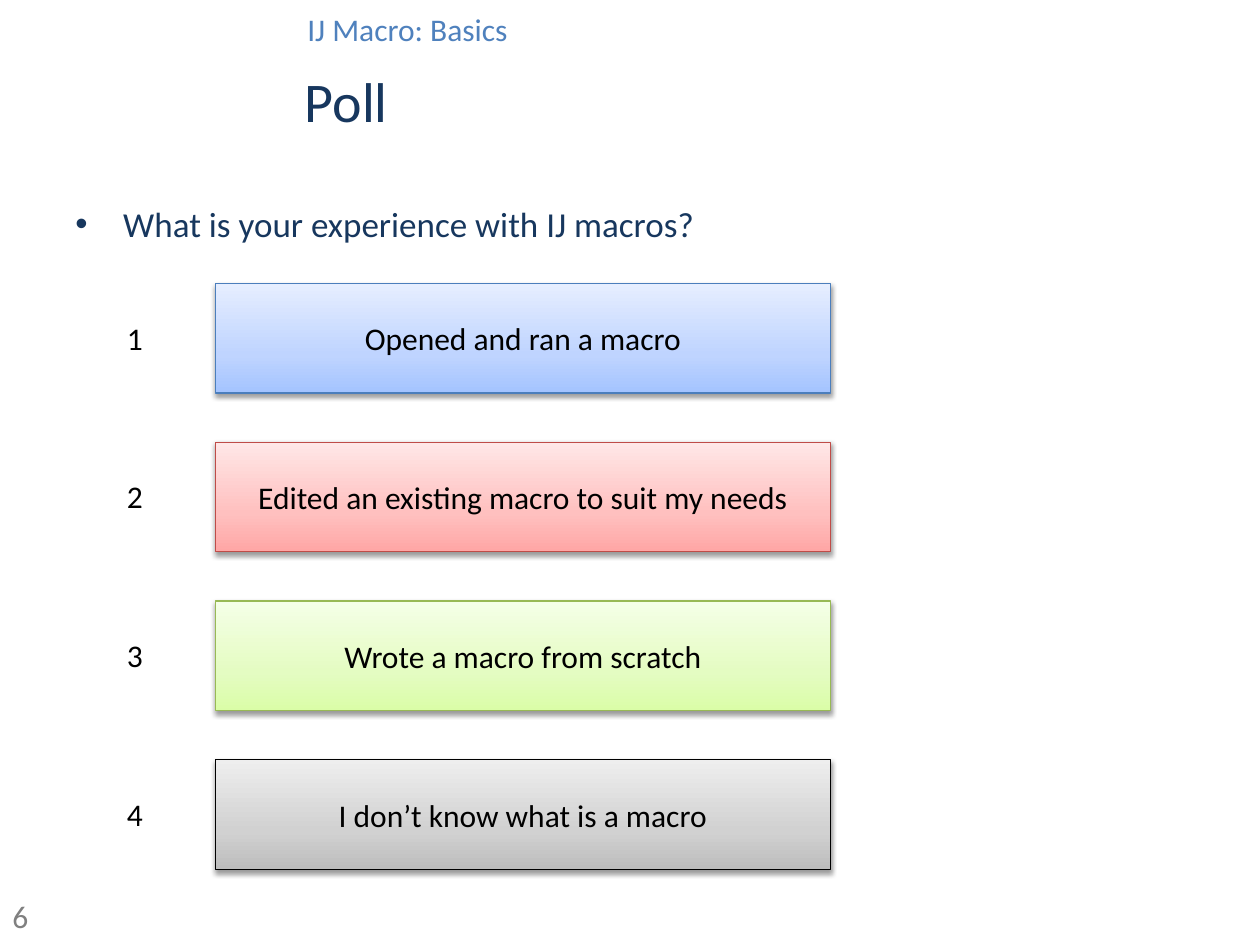
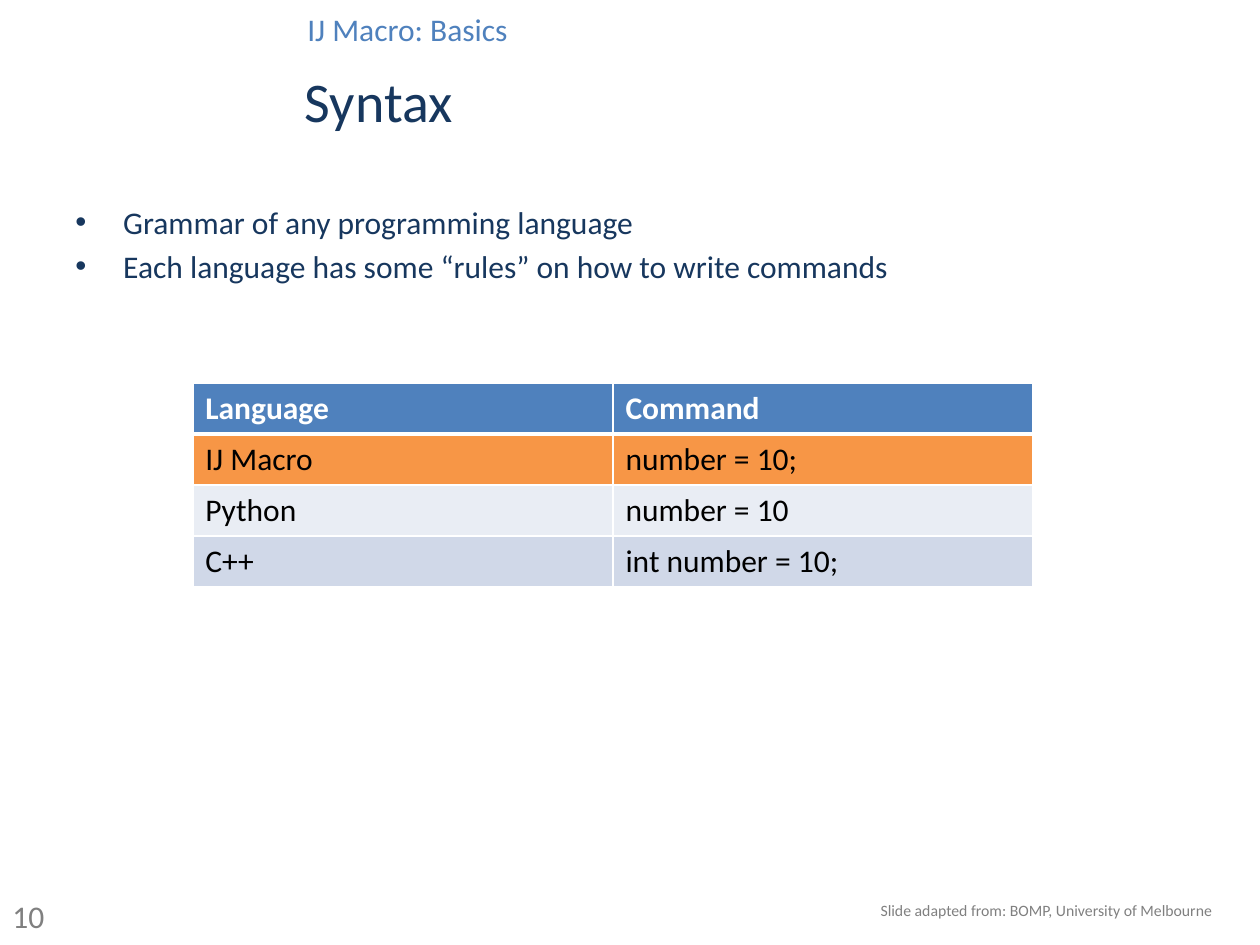
from dataclasses import dataclass

import pptx
import pptx.dml.color
import pptx.enum.shapes
import pptx.enum.text
import pptx.oxml
import pptx.oxml.ns
import pptx.slide
import pptx.table
import pptx.text.text
import pptx.util
from pptx.dml.color import RGBColor
from pptx.util import Inches

# Shared look
FONT = "Calibri"
NAVY = RGBColor(0x17, 0x37, 0x5E)
BLUE = RGBColor(0x4F, 0x81, 0xBD)
GREY = RGBColor(0x80, 0x80, 0x80)
BLACK = RGBColor(0x00, 0x00, 0x00)
WHITE = RGBColor(0xFF, 0xFF, 0xFF)
ORANGE = RGBColor(0xF7, 0x96, 0x46)
PALE_BLUE = RGBColor(0xE9, 0xED, 0xF4)
LIGHT_BLUE = RGBColor(0xD0, 0xD8, 0xE8)
BLUE_LINE = RGBColor(0x4B, 0x7E, 0xBC)
RED_LINE = RGBColor(0xBF, 0x4C, 0x48)
GREEN_LINE = RGBColor(0x98, 0xB9, 0x55)
BLUE_SHADES = (RGBColor(0xA4, 0xC4, 0xFF), RGBColor(0xBF, 0xD4, 0xFF), RGBColor(0xE6, 0xEE, 0xFF))
RED_SHADES = (RGBColor(0xFF, 0xA6, 0xA5), RGBColor(0xFF, 0xC0, 0xBF), RGBColor(0xFF, 0xE7, 0xE7))
GREEN_SHADES = (RGBColor(0xDA, 0xFD, 0xA7), RGBColor(0xE4, 0xFC, 0xC2), RGBColor(0xF5, 0xFF, 0xE7))
GREY_SHADES = (RGBColor(0xBD, 0xBD, 0xBD), RGBColor(0xD1, 0xD1, 0xD1), RGBColor(0xEE, 0xEE, 0xEE))
SHADE_STOPS = (0, 35, 100)  # percent, from the bottom edge up

SECTION = "IJ Macro: Basics"
NAMESPACE = pptx.oxml.ns.nsdecls("a")


@dataclass(frozen=True)
class Box:
    left: float
    top: float
    width: float
    height: float

    def lengths(self) -> tuple[pptx.util.Length, ...]:
        return tuple(Inches(value) for value in (self.left, self.top, self.width, self.height))


@dataclass(frozen=True)
class PollOption:
    text: str
    shades: tuple[RGBColor, RGBColor, RGBColor]
    line: RGBColor


@dataclass(frozen=True)
class SyntaxRow:
    language: str
    command: str
    fill: RGBColor


POLL_OPTIONS = (
    PollOption("Opened and ran a macro", BLUE_SHADES, BLUE_LINE),
    PollOption("Edited an existing macro to suit my needs", RED_SHADES, RED_LINE),
    PollOption("Wrote a macro from scratch", GREEN_SHADES, GREEN_LINE),
    PollOption("I don’t know what is a macro", GREY_SHADES, BLACK),
)
SYNTAX_ROWS = (
    SyntaxRow("Language", "Command", BLUE),
    SyntaxRow("IJ Macro", "number = 10;", ORANGE),
    SyntaxRow("Python", "number = 10", PALE_BLUE),
    SyntaxRow("C++", "int number = 10;", LIGHT_BLUE),
)


def style_paragraph(paragraph: pptx.text.text._Paragraph, size: float, color: RGBColor,
                    bold: bool = False) -> None:
    paragraph.font.name = FONT
    paragraph.font.size = pptx.util.Pt(size)
    paragraph.font.color.rgb = color
    paragraph.font.bold = bold


def add_text(slide: pptx.slide.Slide, box: Box, text: str, size: float, color: RGBColor,
             wrap: bool = True, middle: bool = False) -> pptx.text.text.TextFrame:
    frame = slide.shapes.add_textbox(*box.lengths()).text_frame
    frame.word_wrap = wrap
    if middle:
        frame.vertical_anchor = pptx.enum.text.MSO_ANCHOR.MIDDLE
    frame.text = text
    for paragraph in frame.paragraphs:
        style_paragraph(paragraph, size, color)
    return frame


def add_bullets(slide: pptx.slide.Slide, lines: list[str], size: float) -> None:
    frame = slide.shapes.add_textbox(*Box(0.5, 1.56, 9, 5.14).lengths()).text_frame
    frame.word_wrap = True
    frame.text = "\n".join(lines)
    for index, paragraph in enumerate(frame.paragraphs):
        properties = paragraph._p.get_or_add_pPr()
        properties.set("marL", str(Inches(0.38)))
        properties.set("indent", str(Inches(-0.38)))
        if index:
            paragraph.space_before = pptx.util.Pt(0.2 * size)
        properties.append(pptx.oxml.parse_xml(f'<a:buFont {NAMESPACE} typeface="Arial"/>'))
        properties.append(pptx.oxml.parse_xml(f'<a:buChar {NAMESPACE} char="•"/>'))
        style_paragraph(paragraph, size, NAVY)


def add_base_slide(presentation: pptx.presentation.Presentation, title: str,
                   number: int) -> pptx.slide.Slide:
    slide = presentation.slides.add_slide(presentation.slide_layouts[6])
    add_text(slide, Box(0, 7.07, 2.13, 0.4), str(number), 18, GREY)
    add_text(slide, Box(2.34, 0.03, 1.81, 0.4), SECTION, 18, BLUE, wrap=False)
    add_text(slide, Box(2.32, 0.44, 7.18, 0.71), title, 32, NAVY, middle=True)
    return slide


def add_option_bar(slide: pptx.slide.Slide, box: Box, option: PollOption) -> None:
    bar = slide.shapes.add_shape(pptx.enum.shapes.MSO_SHAPE.RECTANGLE, *box.lengths())
    bar.line.color.rgb = option.line
    bar.line.width = pptx.util.Pt(0.75)

    # Three-stop gradient, lightest at the top
    bar.fill.gradient()
    bar.fill.gradient_angle = 90
    stops = bar._element.spPr.find(".//" + pptx.oxml.ns.qn("a:gsLst"))
    for stop in list(stops):
        stops.remove(stop)
    for position, color in zip(SHADE_STOPS, option.shades):
        stops.append(pptx.oxml.parse_xml(
            f'<a:gs {NAMESPACE} pos="{position * 1000}"><a:srgbClr val="{color}"/></a:gs>'))

    # Soft shadow straight below
    bar.shadow.inherit = False
    effects = bar._element.spPr.find(pptx.oxml.ns.qn("a:effectLst"))
    effects.append(pptx.oxml.parse_xml(
        f'<a:outerShdw {NAMESPACE} blurRad="{pptx.util.Pt(3.1)}" dist="{pptx.util.Pt(1.6)}" '
        'dir="5400000" rotWithShape="0"><a:srgbClr val="000000"><a:alpha val="38000"/>'
        '</a:srgbClr></a:outerShdw>'))

    frame = bar.text_frame
    frame.word_wrap = True
    frame.vertical_anchor = pptx.enum.text.MSO_ANCHOR.MIDDLE
    frame.text = option.text
    frame.paragraphs[0].alignment = pptx.enum.text.PP_ALIGN.CENTER
    style_paragraph(frame.paragraphs[0], 18, BLACK)


def set_borders(cell: pptx.table._Cell, widths: dict[str, float]) -> None:
    properties = cell._tc.get_or_add_tcPr()
    for side, width in widths.items():
        properties.append(pptx.oxml.parse_xml(
            f'<a:ln{side} {NAMESPACE} w="{pptx.util.Pt(width)}"><a:solidFill>'
            f'<a:srgbClr val="{WHITE}"/></a:solidFill></a:ln{side}>'))


def add_syntax_table(slide: pptx.slide.Slide, box: Box) -> None:
    table = slide.shapes.add_table(len(SYNTAX_ROWS), 2, *box.lengths()).table
    table.horz_banding = False
    for row_index, row in enumerate(SYNTAX_ROWS):
        header = row_index == 0
        for column_index, text in enumerate((row.language, row.command)):
            cell = table.cell(row_index, column_index)
            set_borders(cell, {"L": 1, "R": 1, "T": 3 if row_index == 1 else 1,
                               "B": 3 if header else 1})
            cell.fill.solid()
            cell.fill.fore_color.rgb = row.fill
            cell.text = text
            style_paragraph(cell.text_frame.paragraphs[0], 18, WHITE if header else BLACK, header)


def build_poll_slide(presentation: pptx.presentation.Presentation) -> None:
    slide = add_base_slide(presentation, "Poll", 6)
    add_bullets(slide, ["What is your experience with IJ macros?"], 20)
    for index, option in enumerate(POLL_OPTIONS):
        top = 2.25 + 1.26 * index
        add_option_bar(slide, Box(1.71, top, 4.88, 0.87), option)
        add_text(slide, Box(0.91, top + 0.23, 0.33, 0.4), str(index + 1), 18, BLACK, wrap=False)


def build_syntax_slide(presentation: pptx.presentation.Presentation) -> None:
    slide = add_base_slide(presentation, "Syntax", 10)
    add_bullets(slide, ["Grammar of any programming language",
                        "Each language has some “rules” on how to write commands"], 18)
    add_syntax_table(slide, Box(1.53, 3.04, 6.67, 1.62))
    add_text(slide, Box(6.89, 7.1, 2.91, 0.25),
             "Slide adapted from: BOMP, University of Melbourne", 9, GREY, wrap=False)


def main() -> None:
    presentation = pptx.Presentation()
    presentation.slide_width = Inches(10)
    presentation.slide_height = Inches(7.5)
    build_poll_slide(presentation)
    build_syntax_slide(presentation)
    presentation.save("out.pptx")


if __name__ == "__main__":
    main()
